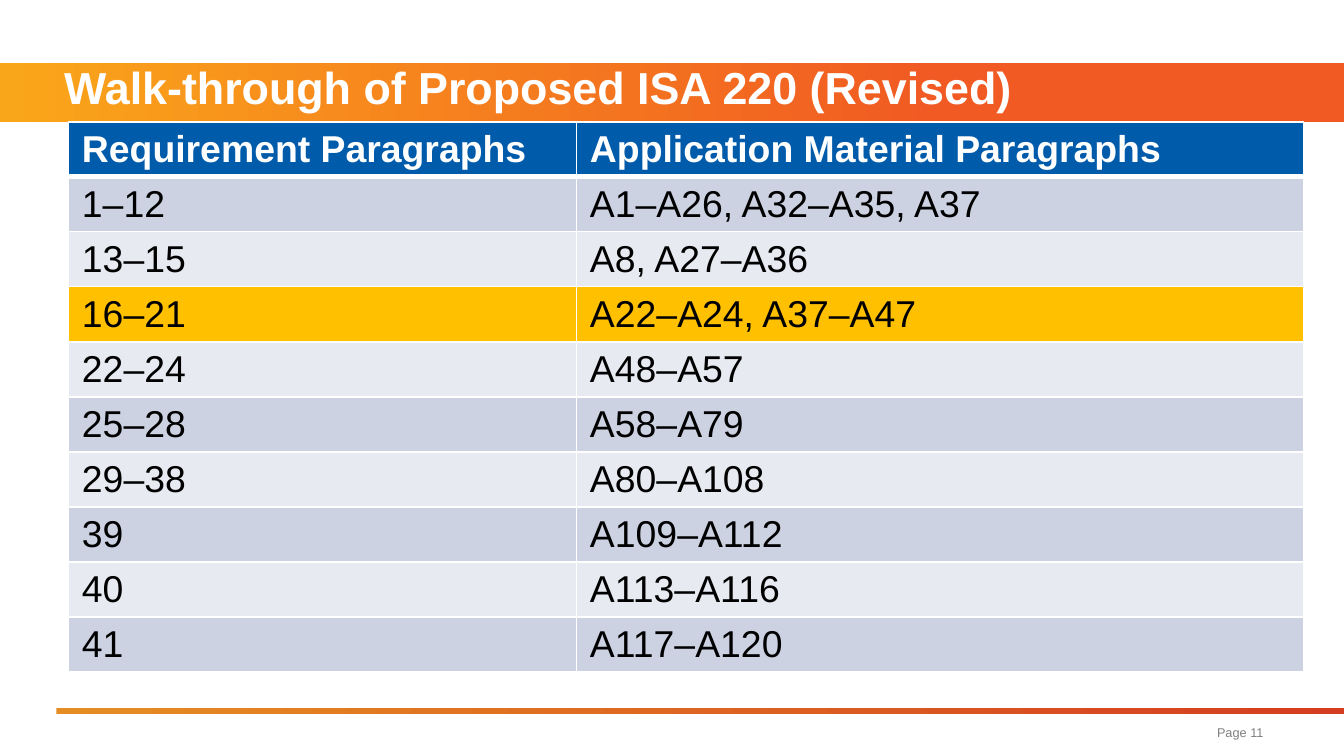
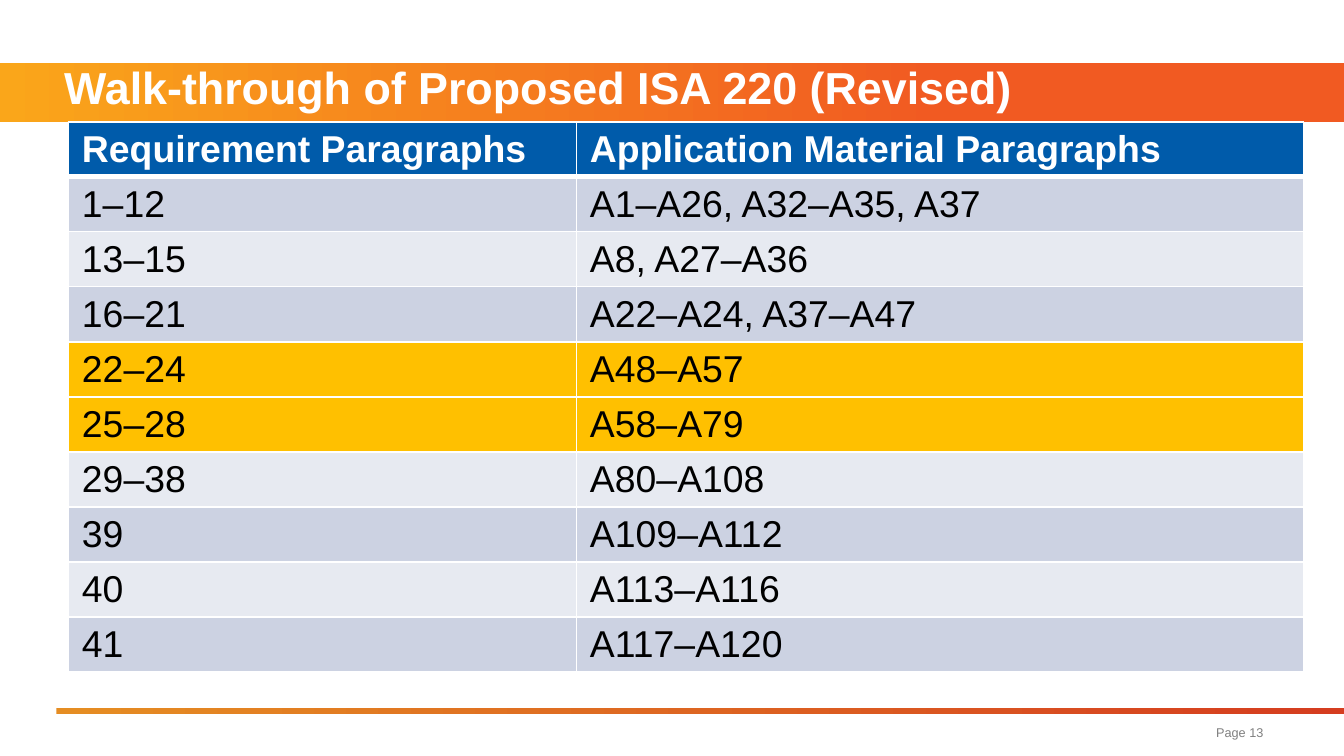
"""Builds two walk-through slides, each with some table rows marked."""
from pptx import Presentation
from pptx import util as u
from pptx.dml.color import RGBColor
from pptx.enum import shapes, text
from pptx.oxml import parse_xml
from pptx.oxml.ns import nsdecls

TITLE = "Walk-through of Proposed ISA 220 (Revised)"
HEAD = ("Requirement Paragraphs", "Application Material Paragraphs")
ROWS = [
    ("1‒12", "A1‒A26, A32‒A35, A37"),
    ("13‒15", "A8, A27‒A36"),
    ("16‒21", "A22‒A24, A37‒A47"),
    ("22‒24", "A48‒A57"),
    ("25‒28", "A58‒A79"),
    ("29‒38", "A80‒A108"),
    ("39", "A109‒A112"),
    ("40", "A113‒A116"),
    ("41", "A117‒A120"),
]
SLIDES = [
    ("Page 11", {"16‒21"}),
    ("Page 13", {"22‒24", "25‒28"}),
]

FONT = "Arial"
WHITE, BLACK, GREY = "FFFFFF", "000000", "808080"
BLUE, GOLD = "005BAA", "FFC000"
BANDS = ("CCD2E2", "E7EAF1")
BAND = (0, 0.47, 10, 0.44)
RULE = (0.42, 5.27, 9.58, 0.04)
PAGE = (6.48, 5.34, 3.02, 0.25)
GRID = (0.51, 0.91, 9.19, 4.33)
COLS = (3.78, 5.41)
HEAD_H, ROW_H = 0.28, 0.41


def color(code):
    return RGBColor.from_string(code)


def inches(box):
    return [u.Inches(n) for n in box]


def add_run(para, words, size, ink, bold=False):
    run = para.add_run()
    run.text = words
    font = run.font
    font.name, font.size, font.bold = FONT, u.Pt(size), bold
    font.color.rgb = color(ink)


def add_bar(slide, box, stops):
    bar = slide.shapes.add_shape(shapes.MSO_SHAPE.RECTANGLE, *inches(box))
    bar.shadow.inherit = False
    bar.line.fill.background()
    bar.fill.gradient()
    bar.fill.gradient_angle = 0
    for stop, (place, code) in zip(bar.fill.gradient_stops, stops):
        stop.position = place
        stop.color.rgb = color(code)


def add_text(slide, box, words, size, ink, bold=False):
    frame = slide.shapes.add_textbox(*inches(box)).text_frame
    frame.word_wrap = True
    para = frame.paragraphs[0]
    add_run(para, words, size, ink, bold)
    return frame, para


def add_edges(cell, top, bottom):
    sides = {"L": 1, "R": 1, "T": top, "B": bottom}
    props = cell._tc.get_or_add_tcPr()
    for at, (side, width) in enumerate(sides.items()):
        props.insert(at, parse_xml(
            f'<a:ln{side} {nsdecls("a")} w="{u.Pt(width)}"><a:solidFill>'
            f'<a:srgbClr val="{WHITE}"/></a:solidFill></a:ln{side}>'))


def add_table(slide, marked):
    lines = [HEAD] + ROWS
    frame = slide.shapes.add_table(len(lines), len(COLS), *inches(GRID))
    table = frame.table
    for col, wide in zip(table.columns, COLS):
        col.width = u.Inches(wide)
    for i, line in enumerate(lines):
        head = i == 0
        table.rows[i].height = u.Inches(HEAD_H if head else ROW_H)
        band = GOLD if line[0] in marked else BANDS[(i - 1) % 2]
        for j, words in enumerate(line):
            cell = table.cell(i, j)
            cell.margin_bottom = u.Inches(0.02)
            cell.fill.solid()
            cell.fill.fore_color.rgb = color(BLUE if head else band)
            add_edges(cell, 3 if i == 1 else 1, 3 if head else 1)
            para = cell.text_frame.paragraphs[0]
            add_run(para, words, 20, WHITE if head else BLACK, head)
    frame.height = u.Inches(GRID[3])


def add_slide(deck, page, marked):
    slide = deck.slides.add_slide(deck.slide_layouts[6])
    add_bar(slide, BAND, [(0, "FAA61A"), (0.7, "F15A22")])
    add_bar(slide, RULE, [(0, "E58D23"), (1, "D53D20")])
    frame, para = add_text(slide, BAND, TITLE, 24, WHITE, True)
    frame.vertical_anchor = text.MSO_ANCHOR.MIDDLE
    frame.margin_top = u.Inches(0.02)
    para.line_spacing = u.Pt(24)
    para._p.get_or_add_pPr().set("marL", str(u.Inches(0.38)))
    _, para = add_text(slide, PAGE, page, 6.8, GREY)
    para.alignment = text.PP_ALIGN.RIGHT
    add_table(slide, marked)


def main():
    deck = Presentation()
    deck.slide_width = u.Inches(10)
    deck.slide_height = deck.slide_width * 9 // 16
    for page, marked in SLIDES:
        add_slide(deck, page, marked)
    deck.save("out.pptx")


if __name__ == "__main__":
    main()
